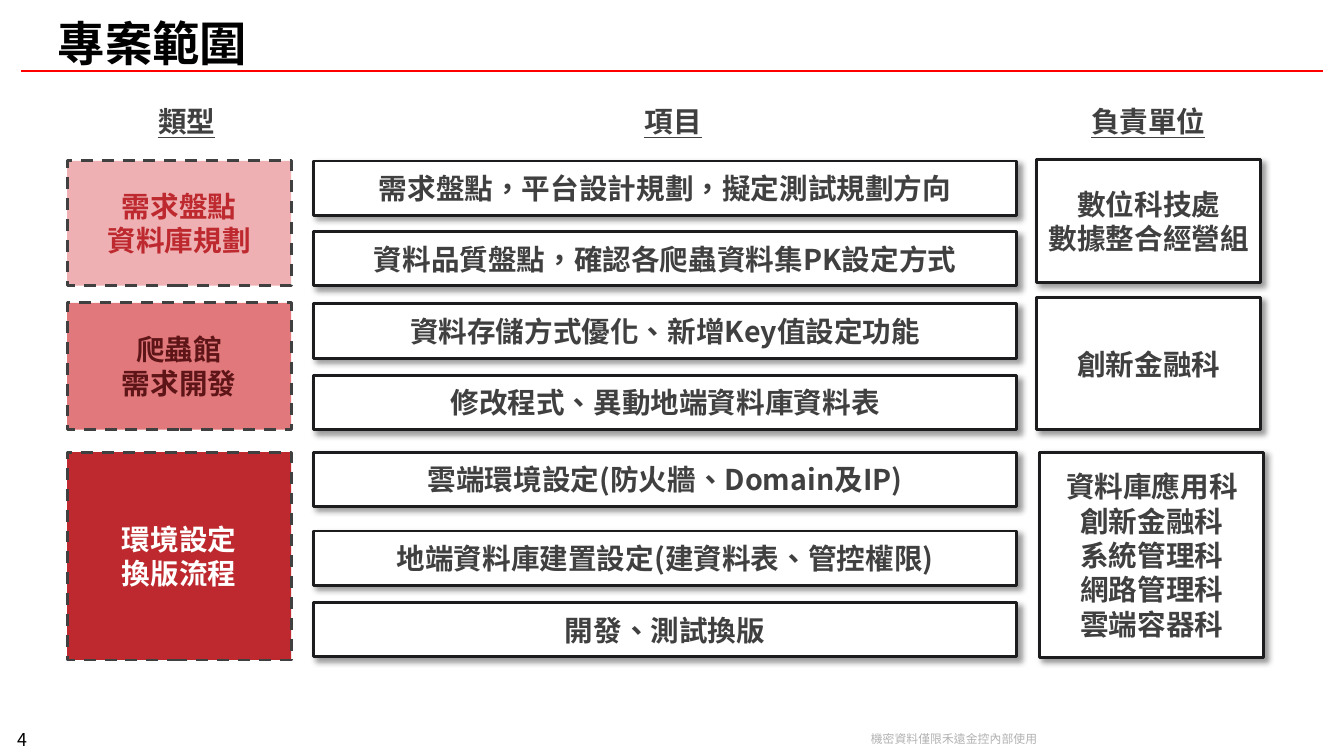
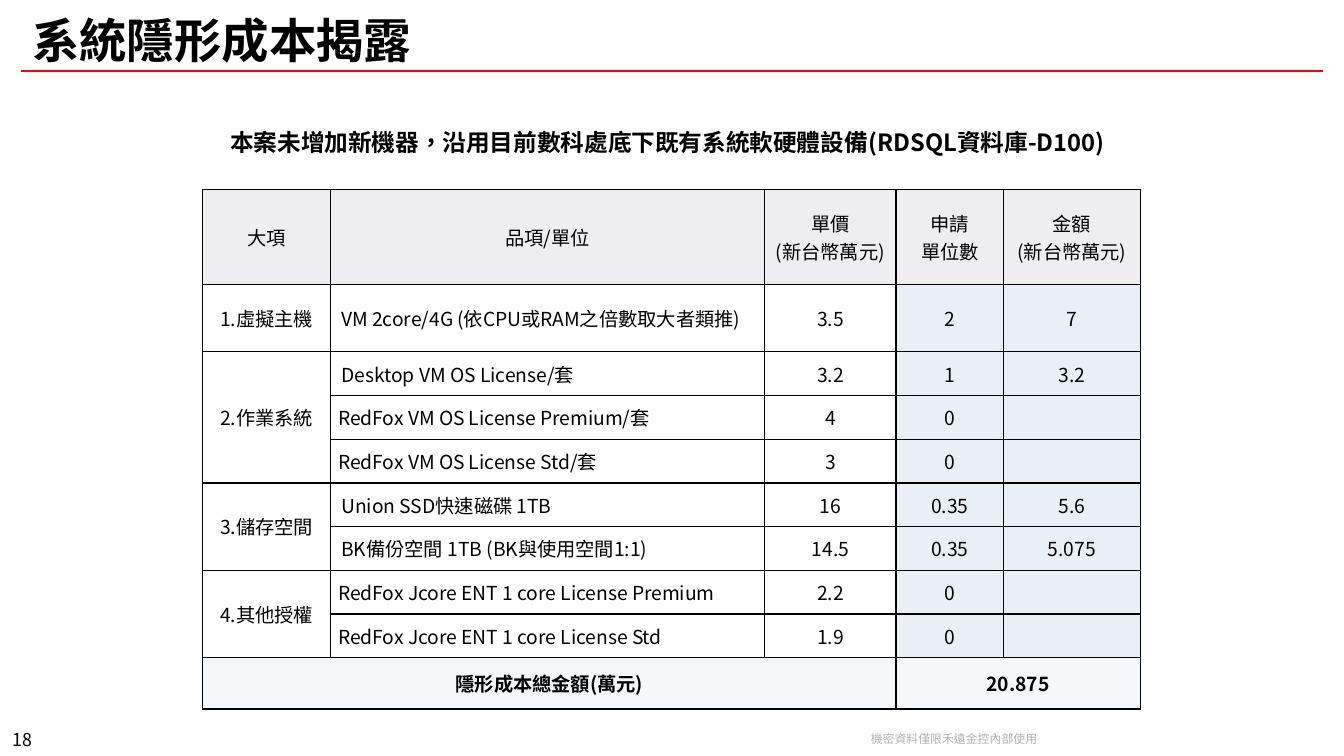
from dataclasses import dataclass

from lxml import etree
from pptx import Presentation
from pptx.dml.color import RGBColor
from pptx.enum.dml import MSO_LINE
from pptx.enum.shapes import MSO_CONNECTOR, MSO_SHAPE
from pptx.enum.text import MSO_ANCHOR, MSO_AUTO_SIZE, PP_ALIGN
from pptx.oxml.ns import qn
from pptx.util import Inches, Pt

RECTANGLE = MSO_SHAPE.RECTANGLE
STRAIGHT = MSO_CONNECTOR.STRAIGHT
DASH = MSO_LINE.DASH
LEFT, CENTER = PP_ALIGN.LEFT, PP_ALIGN.CENTER
MIDDLE, BOTTOM, TOP = MSO_ANCHOR.MIDDLE, MSO_ANCHOR.BOTTOM, MSO_ANCHOR.TOP
FIT_SHAPE, NO_FIT = MSO_AUTO_SIZE.SHAPE_TO_FIT_TEXT, MSO_AUTO_SIZE.NONE


@dataclass(frozen=True)
class Theme:
    font: str = "Noto Sans CJK SC"
    font_alternate: str = "Noto Sans CJK TC"
    language: str = "zh-TW"
    black: str = "000000"
    white: str = "FFFFFF"
    rule: str = "FF0000"
    footer: str = "B2B2B2"
    text: str = "404040"
    outline: str = "1C1C1E"
    crimson: str = "BD292E"
    rose: str = "E1787B"
    blush: str = "EEB0B2"
    maroon: str = "5E1517"
    header_fill: str = "EEEEF1"
    quantity_fill: str = "E9EFF7"
    total_fill: str = "F5F8FB"
    title_size: float = 32
    box_size: float = 19.3
    caption_size: float = 16
    table_size: float = 13
    number_size: float = 12
    footer_size: float = 8


THEME = Theme()
WIDTH, HEIGHT = 12.6, 7.09
FOOTER = "機密資料僅限禾遠金控內部使用"


@dataclass(frozen=True)
class Group:
    """One work type: its (top, height) spans, its items and its units."""
    kind: str
    fill: str
    color: str
    kind_span: tuple
    items: dict
    units: str
    unit_span: tuple
    unit_left: float = 9.72


KIND_COLUMN = (0.63, 2.1)
ITEM_COLUMN = (2.94, 6.59)
UNIT_WIDTH, ITEM_HEIGHT = 2.1, 0.51
HEADINGS = {"類型": (1.13, 1.24), "項目": (5.69, 1.24), "負責單位": (10.04, 1.45)}
GROUPS = (
    Group("需求盤點\n資料庫規劃", THEME.blush, THEME.crimson, (1.51, 1.17),
          {1.51: "需求盤點，平台設計規劃，擬定測試規劃方向",
           2.17: "資料品質盤點，確認各爬蟲資料集PK設定方式"},
          "數位科技處\n數據整合經營組", (1.5, 1.15)),
    Group("爬蟲館\n需求開發", THEME.rose, THEME.maroon, (2.84, 1.19),
          {2.85: "資料存儲方式優化、新增Key值設定功能",
           3.52: "修改程式、異動地端資料庫資料表"},
          "創新金融科", (2.79, 1.24)),
    Group("環境設定\n換版流程", THEME.crimson, THEME.white, (4.24, 1.95),
          {4.24: "雲端環境設定(防火牆、Domain及IP)",
           4.98: "地端資料庫建置設定(建資料表、管控權限)",
           5.65: "開發、測試換版"},
          "資料庫應用科\n創新金融科\n系統管理科\n網路管理科\n雲端容器科", (4.24, 1.93), 9.75),
)

COST_COLUMNS = (1.2, 4.07, 1.23, 1.01, 1.28)
COST_ROWS = (0.89, 0.63) + (0.41,) * 7 + (0.48,)
COSTS = (
    ("大項", "品項/單位", "單價\n(新台幣萬元)", "申請\n單位數", "金額\n(新台幣萬元)"),
    ("1.虛擬主機", "VM 2core/4G (依CPU或RAM之倍數取大者類推)", "3.5", "2", "7"),
    ("2.作業系統", "Desktop VM OS License/套", "3.2", "1", "3.2"),
    ("", "RedFox VM OS License Premium/套", "4", "0", ""),
    ("", "RedFox VM OS License Std/套", "3", "0", ""),
    ("3.儲存空間", "Union SSD快速磁碟 1TB", "16", "0.35", "5.6"),
    ("", "BK備份空間 1TB (BK與使用空間1:1)", "14.5", "0.35", "5.075"),
    ("4.其他授權", "RedFox Jcore ENT 1 core License Premium", "2.2", "0", ""),
    ("", "RedFox Jcore ENT 1 core License Std", "1.9", "0", ""),
    ("隱形成本總金額(萬元)", "", "", "20.875", ""),
)
COST_MERGES = (((2, 0), (4, 0)), ((5, 0), (6, 0)), ((7, 0), (8, 0)),
               ((9, 0), (9, 2)), ((9, 3), (9, 4)))
TIGHT_ROWS = (3, 4, 7, 8)


def rgb(value):
    return RGBColor.from_string(value)


def inches(box):
    return [Inches(length) for length in box]


def assign(target, values):
    for name, value in values.items():
        setattr(target, name, value)


def write(frame, text, size, color=THEME.black, font=THEME.font, align=CENTER,
          spacing=None, **font_values):
    """Fill a text frame, one paragraph for each line of text."""
    for index, line in enumerate(text.split("\n")):
        paragraph = frame.paragraphs[0] if index == 0 else frame.add_paragraph()
        assign(paragraph, {"alignment": align, "line_spacing": spacing})
        run = paragraph.add_run()
        run.text = line
        assign(run.font, {"size": Pt(size), "name": font, **font_values})
        run.font.color.rgb = rgb(color)
        properties = run.font._element
        properties.set("lang", THEME.language)
        etree.SubElement(properties, qn("a:ea"), typeface=font)


def add_text(slide, box, text, size, anchor=TOP, wrap=True, **style):
    frame = slide.shapes.add_textbox(*inches(box)).text_frame
    assign(frame, {"word_wrap": wrap, "vertical_anchor": anchor, "auto_size": FIT_SHAPE})
    write(frame, text, size, **style)


def add_shadow(shape):
    effects = shape._element.spPr.find(qn("a:effectLst"))
    shadow = etree.SubElement(effects, qn("a:outerShdw"), blurRad=str(Pt(4)),
                              dist=str(Pt(3)), dir="2700000", algn="tl", rotWithShape="0")
    color = etree.SubElement(shadow, qn("a:srgbClr"), val=THEME.black)
    etree.SubElement(color, qn("a:alpha"), val="40000")


def add_box(slide, box, text, fill=THEME.white, color=THEME.text, dashed=False):
    """Dashed boxes are flat; solid ones cast a shadow."""
    shape = slide.shapes.add_shape(RECTANGLE, *inches(box))
    shape.shadow.inherit = False
    shape.fill.solid()
    shape.fill.fore_color.rgb = rgb(fill)
    shape.line.width = Pt(2)
    shape.line.color.rgb = rgb(THEME.text if dashed else THEME.outline)
    if dashed:
        shape.line.dash_style = DASH
    else:
        add_shadow(shape)
    assign(shape.text_frame, {"word_wrap": True, "vertical_anchor": MIDDLE})
    write(shape.text_frame, text, THEME.box_size, color, bold=True)


def add_titled_slide(presentation, title, box, number, font):
    """Add a slide with the shared title, rule, number and footer."""
    slide = presentation.slides.add_slide(presentation.slide_layouts[5])
    placeholder = slide.shapes.title
    assign(placeholder, dict(zip(("left", "top", "width", "height"), inches(box))))
    assign(placeholder.text_frame,
           {"vertical_anchor": MIDDLE, "word_wrap": True, "auto_size": NO_FIT})
    write(placeholder.text_frame, title, THEME.title_size, font=font, align=LEFT, bold=True)

    rule = slide.shapes.add_connector(STRAIGHT, *inches((0.2, 0.67, WIDTH - 0.2, 0.67)))
    rule.line.color.rgb = rgb(THEME.rule)
    rule.line.width = Pt(1.25)
    etree.SubElement(rule._element.spPr, qn("a:effectLst"))

    add_text(slide, (0, 6.82, 0.42, 0.26), number, THEME.number_size, BOTTOM, False,
             font=THEME.font_alternate, spacing=0.83)
    add_text(slide, (8.05, 6.81, 1.79, 0.23), FOOTER, THEME.footer_size, MIDDLE, False,
             color=THEME.footer, spacing=Pt(9.6))
    return slide


def add_group(slide, group):
    def place(column, span, *content, **style):
        add_box(slide, (column[0], span[0], column[1], span[1]), *content, **style)

    place(KIND_COLUMN, group.kind_span, group.kind, group.fill, group.color, dashed=True)
    for top, item in group.items.items():
        place(ITEM_COLUMN, (top, ITEM_HEIGHT), item)
    place((group.unit_left, UNIT_WIDTH), group.unit_span, group.units)


def build_scope_slide(presentation):
    slide = add_titled_slide(presentation, "專案範圍", (0.44, 0.07, 11.72, 0.66), "4",
                             THEME.font_alternate)
    for heading, (left, width) in HEADINGS.items():
        add_text(slide, (left, 0.93, width, 0.44), heading, THEME.box_size,
                 color=THEME.text, bold=True, underline=True)
    for group in GROUPS:
        add_group(slide, group)


def add_borders(cell):
    properties = cell._tc.get_or_add_tcPr()
    for index, side in enumerate(("lnL", "lnR", "lnT", "lnB")):
        line = etree.Element(qn(f"a:{side}"), w=str(Pt(1)))
        fill = etree.SubElement(line, qn("a:solidFill"))
        etree.SubElement(fill, qn("a:srgbClr"), val=THEME.black)
        properties.insert(index, line)


def cost_fill(row, column):
    if row == 0:
        return THEME.header_fill
    if row == len(COSTS) - 1:
        return THEME.total_fill
    return THEME.quantity_fill if column >= 3 else None


def format_cost_cell(cell, row, column, text):
    tight = row in TIGHT_ROWS or not text
    side, edge = inches((0.07, 0) if tight else (0.1, 0.05))
    assign(cell, {"margin_left": side, "margin_right": side, "margin_top": edge,
                  "margin_bottom": edge, "vertical_anchor": MIDDLE})
    fill = cost_fill(row, column)
    if fill:
        cell.fill.solid()
        cell.fill.fore_color.rgb = rgb(fill)
    else:
        cell.fill.background()
    add_borders(cell)
    if text:
        is_name = column == 1 and row > 0
        write(cell.text_frame, text, THEME.table_size, align=LEFT if is_name else CENTER,
              bold=row == len(COSTS) - 1)


def add_cost_table(slide, left, top):
    table = slide.shapes.add_table(
        len(COST_ROWS), len(COST_COLUMNS),
        *inches((left, top, sum(COST_COLUMNS), sum(COST_ROWS)))).table
    assign(table, {"first_row": False, "horz_banding": False})
    for column, width in zip(table.columns, COST_COLUMNS):
        column.width = Inches(width)
    for row, height in zip(table.rows, COST_ROWS):
        row.height = Inches(height)
    for row, texts in enumerate(COSTS):
        for column, text in enumerate(texts):
            format_cost_cell(table.cell(row, column), row, column, text)
    for first, last in COST_MERGES:
        table.cell(*first).merge(table.cell(*last))


def build_cost_slide(presentation):
    slide = add_titled_slide(presentation, "系統隱形成本揭露", (0.2, 0.08, 12.21, 0.59), "18",
                             THEME.font)
    add_cost_table(slide, 1.9, 1.78)
    add_text(slide, (2.06, 1.15, 8.49, 0.37),
             "本案未增加新機器，沿用目前數科處底下既有系統軟硬體設備(RDSQL資料庫-D100)",
             THEME.caption_size, align=LEFT, bold=True)


def main():
    presentation = Presentation()
    assign(presentation, {"slide_width": Inches(WIDTH), "slide_height": Inches(HEIGHT)})
    build_scope_slide(presentation)
    build_cost_slide(presentation)
    presentation.save("out.pptx")


if __name__ == "__main__":
    main()
